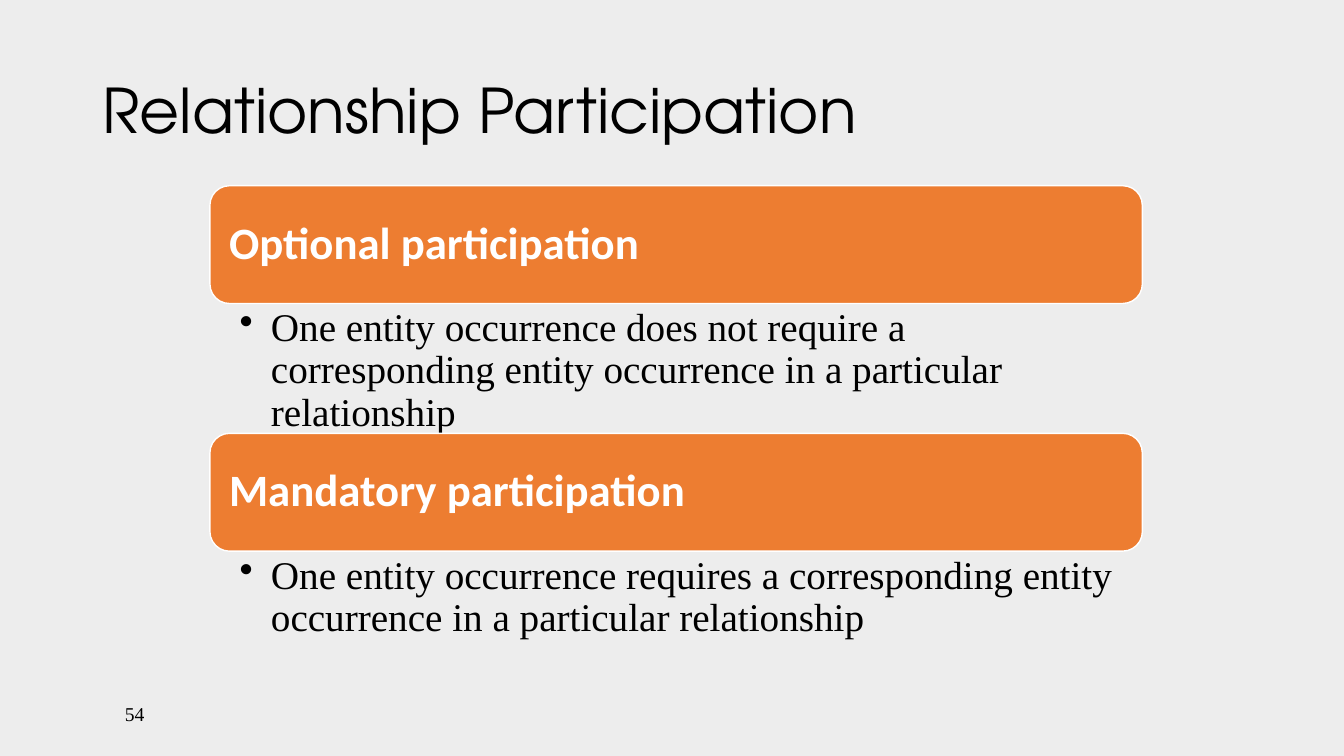
from lxml import etree
from pptx import Presentation
from pptx.dml.color import RGBColor
from pptx.enum.shapes import MSO_SHAPE
from pptx.enum.text import MSO_ANCHOR, MSO_AUTO_SIZE, PP_ALIGN
from pptx.oxml.ns import qn
from pptx.util import Cm, Pt

BACKGROUND = RGBColor(0xED, 0xED, 0xED)
ORANGE = RGBColor(0xED, 0x7D, 0x31)
WHITE = RGBColor(0xFF, 0xFF, 0xFF)
BLACK = RGBColor(0x00, 0x00, 0x00)
ROUNDED = MSO_SHAPE.ROUNDED_RECTANGLE
MIDDLE = MSO_ANCHOR.MIDDLE
TOP = MSO_ANCHOR.TOP
LEFT = PP_ALIGN.LEFT
RIGHT = PP_ALIGN.RIGHT
NO_AUTOFIT = MSO_AUTO_SIZE.NONE

SECTION_LEFT = 5.29
SECTION_TOP = 4.68
SECTION_WIDTH = 23.5
SECTION_STEP = 6.24
BANNER_HEIGHT = 2.97
SECTIONS = [
    ("Optional participation",
     "One entity occurrence does not require a corresponding entity "
     "occurrence in a particular relationship", 3.28),
    ("Mandatory participation",
     "One entity occurrence requires a corresponding entity "
     "occurrence in a particular relationship", 2.62),
]


def write_text(shape, text, font_name, size, color, anchor=MIDDLE, alignment=LEFT):
    frame = shape.text_frame
    frame.word_wrap = True
    frame.auto_size = NO_AUTOFIT
    frame.vertical_anchor = anchor
    paragraph = frame.paragraphs[0]
    paragraph.alignment = alignment
    paragraph.line_spacing = 0.9
    run = paragraph.add_run()
    run.text = text
    run.font.name = font_name
    run.font.size = Pt(size)
    run.font.color.rgb = color
    return paragraph


def set_margins(shape, left, right, vertical):
    frame = shape.text_frame
    frame.margin_left = Cm(left)
    frame.margin_right = Cm(right)
    frame.margin_top = frame.margin_bottom = Cm(vertical)


presentation = Presentation()
presentation.slide_width = Cm(33.87)
presentation.slide_height = Cm(19.05)
slide = presentation.slides.add_slide(presentation.slide_layouts[5])
slide.background.fill.solid()
slide.background.fill.fore_color.rgb = BACKGROUND

title = slide.shapes.title
title.left, title.top = Cm(2.33), Cm(1.02)
title.width, title.height = Cm(29.21), Cm(3.68)
write_text(title, "Relationship Participation", "TeX Gyre Adventor", 44, BLACK)

for index, (heading, explanation, body_height) in enumerate(SECTIONS):
    top = SECTION_TOP + index * SECTION_STEP
    banner = slide.shapes.add_shape(
        ROUNDED, Cm(SECTION_LEFT), Cm(top), Cm(SECTION_WIDTH), Cm(BANNER_HEIGHT))
    banner.shadow.inherit = False
    banner.fill.solid()
    banner.fill.fore_color.rgb = ORANGE
    banner.line.color.rgb = WHITE
    banner.line.width = Pt(1)
    set_margins(banner, 0.34, 0.34, 0.34)
    paragraph = write_text(banner, heading, "Calibri", 32, WHITE)
    paragraph.runs[0].font.bold = True

    body = slide.shapes.add_textbox(
        Cm(SECTION_LEFT), Cm(top + BANNER_HEIGHT), Cm(SECTION_WIDTH), Cm(body_height))
    set_margins(body, 0.75, 0.55, 0.1)
    paragraph = write_text(body, explanation, "Times New Roman", 28, BLACK, TOP)
    paragraph.level = 1
    properties = paragraph._p.get_or_add_pPr()
    properties.set("marL", str(Cm(0.79)))
    properties.set("indent", str(-Cm(0.79)))
    bullet = etree.SubElement(properties, qn("a:buChar"))
    bullet.set("char", "•")

slide_number = slide.shapes.add_textbox(Cm(2.62), Cm(17.6), Cm(1.27), Cm(0.84))
write_text(slide_number, "54", "Times New Roman", 14, BLACK, MIDDLE, RIGHT)

presentation.save("out.pptx")
